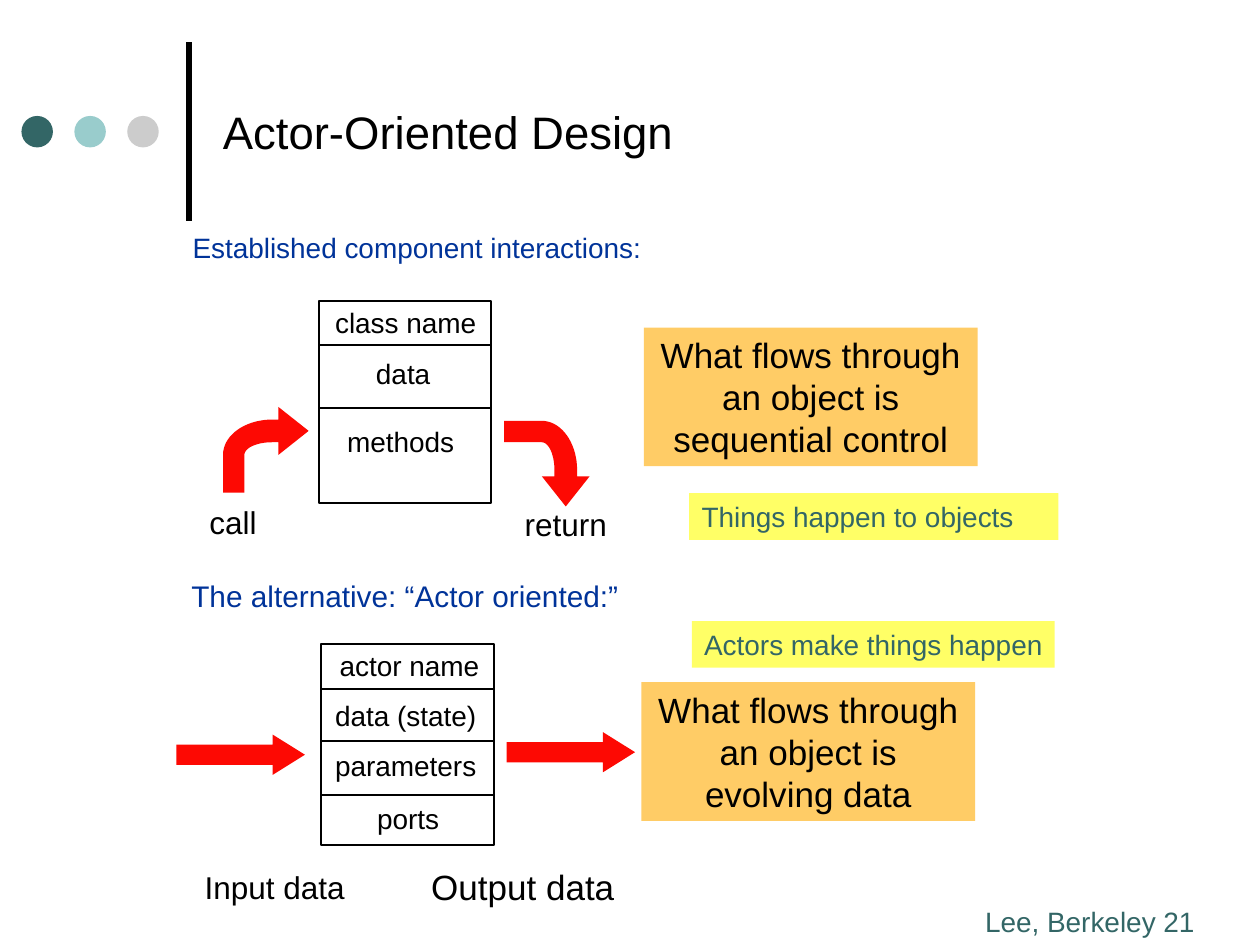
import math

import pptx
import pptx.dml.color
import pptx.enum.shapes
import pptx.enum.text
import pptx.oxml.ns
import pptx.util
from lxml import etree

RGBColor = pptx.dml.color.RGBColor
SHAPE = pptx.enum.shapes.MSO_SHAPE
ALIGN = pptx.enum.text.PP_ALIGN
ANCHOR = pptx.enum.text.MSO_ANCHOR

BLACK = RGBColor(0x00, 0x00, 0x00)
TEAL = RGBColor(0x33, 0x66, 0x66)
AQUA = RGBColor(0x99, 0xCC, 0xCC)
GREY = RGBColor(0xCC, 0xCC, 0xCC)
NAVY = RGBColor(0x00, 0x33, 0x99)
RED = RGBColor(0xFD, 0x09, 0x03)
ORANGE = RGBColor(0xFF, 0xCC, 0x66)
YELLOW = RGBColor(0xFF, 0xFF, 0x66)

COLUMNS, ROWS = 100, 75


def write(s, text, size=16, color=BLACK, align=ALIGN.CENTER, anchor=ANCHOR.TOP, wrap=True):
    tf = s.text_frame
    tf.word_wrap = wrap
    tf.vertical_anchor = anchor
    p = tf.paragraphs[0]
    p.alignment = align
    r = p.add_run()
    r.text = text
    r.font.name = "Arial"
    r.font.size = pptx.util.Pt(size)
    r.font.color.rgb = color


class Board:
    def __init__(self, prs):
        self.slide = prs.slides.add_slide(prs.slide_layouts[6])
        self.column = prs.slide_width / COLUMNS
        self.row = prs.slide_height / ROWS

    def place(self, x, y):
        return round(x * self.column), round(y * self.row)

    def text(self, text, x, y, w, h=3.7, **style):
        s = self.slide.shapes.add_textbox(*self.place(x, y), *self.place(w, h))
        write(s, text, **style)

    def paint(self, s, fill=None, line=None):
        s.shadow.inherit = False
        if fill is None:
            s.fill.background()
        else:
            s.fill.solid()
            s.fill.fore_color.rgb = fill
        if line is None:
            s.line.fill.background()
        else:
            s.line.color.rgb = line
            s.line.width = pptx.util.Pt(1)

    def shape(self, kind, x, y, w, h, fill=None, line=None):
        s = self.slide.shapes.add_shape(kind, *self.place(x, y), *self.place(w, h))
        self.paint(s, fill, line)
        return s

    def note(self, text, x, y, w, h, fill, **style):
        write(self.shape(SHAPE.RECTANGLE, x, y, w, h, fill), text, **style)

    def line(self, x1, y1, x2, y2, width=1):
        s = self.slide.shapes.add_connector(
            pptx.enum.shapes.MSO_CONNECTOR.STRAIGHT, *self.place(x1, y1), *self.place(x2, y2))
        s.line.color.rgb = BLACK
        s.line.width = pptx.util.Pt(width)
        etree.SubElement(s.element.spPr, pptx.oxml.ns.qn("a:effectLst"))

    def record(self, x, y, dividers, labels):
        w, h = 13.7, 16
        self.shape(SHAPE.RECTANGLE, x, y, w, h, line=BLACK)
        for divider in dividers:
            self.line(x, divider, x + w, divider)
        for text, left, top, width in labels:
            self.text(text, left, top, width, wrap=False)

    def arrow(self, x, y):
        s = self.shape(SHAPE.RIGHT_ARROW, x, y, 10.2, 3.2, RED)
        s.adjustments[0] = 0.5
        s.adjustments[1] = 0.8

    def bent_arrow(self, x, y, rotation=0):
        def bend(rx, ry):
            angles = [math.radians(180 + 5 * step) for step in range(19)]
            return [(3.9 + rx * math.cos(a), 3.8 + ry * math.sin(a)) for a in angles]

        head = [(4.4, 1), (4.4, 0), (6.8, 1.9), (4.4, 3.8), (4.4, 2.8)]
        outline = [(0, 6.8), *bend(3.9, 2.8), *head, *reversed(bend(2.2, 1)), (1.7, 6.8)]
        points = [self.place(x + dx, y + dy) for dx, dy in outline]
        builder = self.slide.shapes.build_freeform(*points[0])
        builder.add_line_segments(points[1:], close=True)
        s = builder.convert_to_shape()
        self.paint(s, RED)
        s.rotation = rotation


def main():
    prs = pptx.Presentation()
    prs.slide_width = pptx.util.Inches(10)
    prs.slide_height = pptx.util.Inches(7.5)
    board = Board(prs)

    board.line(15, 17.5, 15, 3.3, width=3)
    for i, color in enumerate((TEAL, AQUA, GREY)):
        board.shape(SHAPE.OVAL, 1.7 + 4.2 * i, 9.2, 2.5, 2.5, color)
    board.text("Lee, Berkeley 21", 77.2, 71.3, 22, color=TEAL, align=ALIGN.LEFT)
    board.text("Actor-Oriented Design", 16.7, 2.1, 80.8, 16.7,
               size=26, align=ALIGN.LEFT, anchor=ANCHOR.MIDDLE)

    board.text("Established component interactions:", 14.3, 17.8, 40,
               color=NAVY, align=ALIGN.LEFT)
    board.record(25.3, 23.9, (27.4, 32.4), (
        ("class name", 25.1, 23.75, 14.2),
        ("data", 28, 27.8, 8),
        ("methods", 25.8, 33.2, 12)))
    board.bent_arrow(17.7, 32.3)
    board.bent_arrow(40, 33.4, rotation=90)
    board.text("call", 14.5, 39.4, 8, 4, size=18, wrap=False)
    board.text("return", 39.9, 39.6, 10, 4, size=18, wrap=False)
    board.note("What flows through an object is sequential control",
               51.1, 26, 26.5, 11, ORANGE, size=20)
    board.note("Things happen to objects", 54.7, 39.15, 29.3, 3.7, YELLOW,
               color=TEAL, align=ALIGN.LEFT)

    board.text("The alternative: “Actor oriented:”", 14.2, 45.25, 38.3, 4,
               size=17, color=NAVY, align=ALIGN.LEFT, anchor=ANCHOR.MIDDLE)
    board.record(25.5, 51.1, (54.7, 58.8, 63.1), (
        ("actor name", 25.4, 50.95, 14.2),
        ("data (state)", 25.1, 54.95, 14.2),
        ("parameters", 25.1, 58.9, 14.2),
        ("ports", 28.4, 63.1, 8)))
    board.arrow(14, 58.3)
    board.arrow(40.2, 58.1)
    board.text("Input data", 14.8, 68.4, 14, 4, size=18, wrap=False)
    board.text("Output data", 32.5, 68.2, 18, 4.4, size=20, wrap=False)
    board.note("What flows through an object is evolving data",
               50.9, 54.15, 26.5, 11, ORANGE, size=20)
    board.note("Actors make things happen", 54.9, 49.3, 28.8, 3.7, YELLOW,
               color=TEAL, align=ALIGN.LEFT, wrap=False)

    prs.save("out.pptx")


if __name__ == "__main__":
    main()
